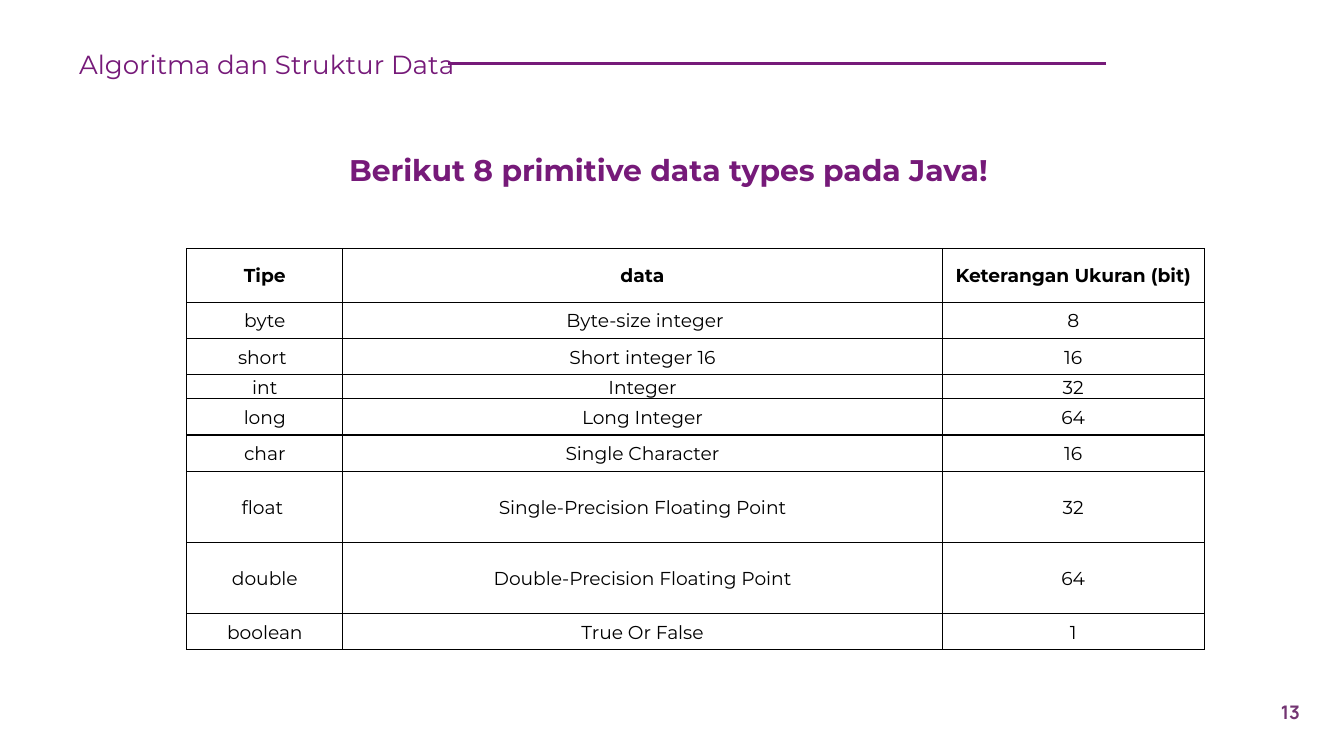
from lxml.etree import SubElement as Sub
from pptx import Presentation
from pptx.dml.color import RGBColor
from pptx.enum.shapes import MSO_CONNECTOR as Conn
from pptx.enum.text import MSO_ANCHOR as Anchor, PP_ALIGN as Align
from pptx.oxml import parse_xml
from pptx.oxml.ns import nsdecls, qn
from pptx.util import Inches, Pt

PURPLE, PLUM, BLACK = "761A79", "733572", "000000"
ROWS = [
    ("Tipe", " data ", "Keterangan Ukuran (bit)"),
    ("byte", " Byte-size integer", "8"),
    ("short ", "Short integer 16", "16"),
    ("int", "Integer", "32"),
    ("long", "Long Integer", "64"),
    ("char", "Single Character", "16"),
    ("float ", "Single-Precision Floating Point", "32"),
    ("double", "Double-Precision Floating Point", "64"),
    ("boolean", "True Or False", "1"),
]
WIDTHS = [1.16, 4.46, 1.95]
HEIGHTS = [0.4, 0.27, 0.27, 0.16, 0.27, 0.27, 0.53, 0.53, 0.27]


def rgb(code):
    return RGBColor.from_string(code)


def write(frame, text, color, align, **style):
    """Fill the first paragraph; style holds font attributes."""
    par = frame.paragraphs[0]
    par.alignment = align
    run = par.add_run()
    run.text = text
    run.font.color.rgb = rgb(color)
    for key, val in style.items():
        setattr(run.font, key, val)
    return par


prs = Presentation()
prs.slide_width = Inches(10)
prs.slide_height = Inches(10 * 9 / 16)
slide = prs.slides.add_slide(prs.slide_layouts[6])
shapes = slide.shapes

# Title, page number and running head
mont = {"name": "Montserrat", "bold": False}
labels = [
    ("Berikut 8 primitive data types pada Java!", (0.53, 0.99, 8.89, 0.47),
     PURPLE, Align.CENTER, Anchor.TOP, {**mont, "size": Pt(16), "bold": True}),
    ("13", (9.17, 5.08, 0.6, 0.43), PLUM, Align.RIGHT, Anchor.MIDDLE,
     {"name": "Manrope", "size": Pt(10), "bold": True}),
    ("Algoritma dan Struktur Data", (0.49, 0.2, 3.04, 0.55),
     PURPLE, Align.LEFT, Anchor.MIDDLE, {**mont, "size": Pt(14)}),
]
for text, place, color, align, anchor, style in labels:
    frame = shapes.add_textbox(*map(Inches, place)).text_frame
    frame.word_wrap = True
    frame.vertical_anchor = anchor
    for side in ("left", "right", "top", "bottom"):
        setattr(frame, f"margin_{side}", Inches(0.1))
    par = write(frame, text, color, align, **style)
    if anchor == Anchor.TOP:
        par.line_spacing, par.space_after = 1.15, Pt(10)

# Table
grid = shapes.add_table(len(ROWS), len(WIDTHS), Inches(1.39), Inches(1.85),
                        Inches(sum(WIDTHS)), Inches(sum(HEIGHTS))).table
grid.first_row = grid.horz_banding = False
for col, width in zip(grid.columns, WIDTHS):
    col.width = Inches(width)
for row, height in zip(grid.rows, HEIGHTS):
    row.height = Inches(height)

pad = {"margin_left": Inches(0.01), "margin_right": Inches(0.01),
       "margin_top": Inches(0.01), "margin_bottom": 0,
       "vertical_anchor": Anchor.MIDDLE}
for r, texts in enumerate(ROWS):
    for c, text in enumerate(texts):
        cell = grid.cell(r, c)
        for key, val in pad.items():
            setattr(cell, key, val)
        write(cell.text_frame, text, BLACK, Align.CENTER,
              name="Montserrat", size=Pt(10), bold=r == 0)
        cell.fill.background()
        props = cell._tc.get_or_add_tcPr()
        for i, side in enumerate("LRTB"):
            props.insert(i, parse_xml(
                f'<a:ln{side} w="9525" {nsdecls("a")}><a:solidFill>'
                f'<a:srgbClr val="{BLACK}"/></a:solidFill></a:ln{side}>'))

# Header rule
rule = shapes.add_connector(Conn.STRAIGHT, Inches(8.23), Inches(0.47),
                            Inches(3.33), Inches(0.47))
rule.line.color.rgb = rgb(PURPLE)
rule.line.width = Pt(1.5)
Sub(rule._element.spPr, qn("a:effectLst"))

prs.save("out.pptx")
